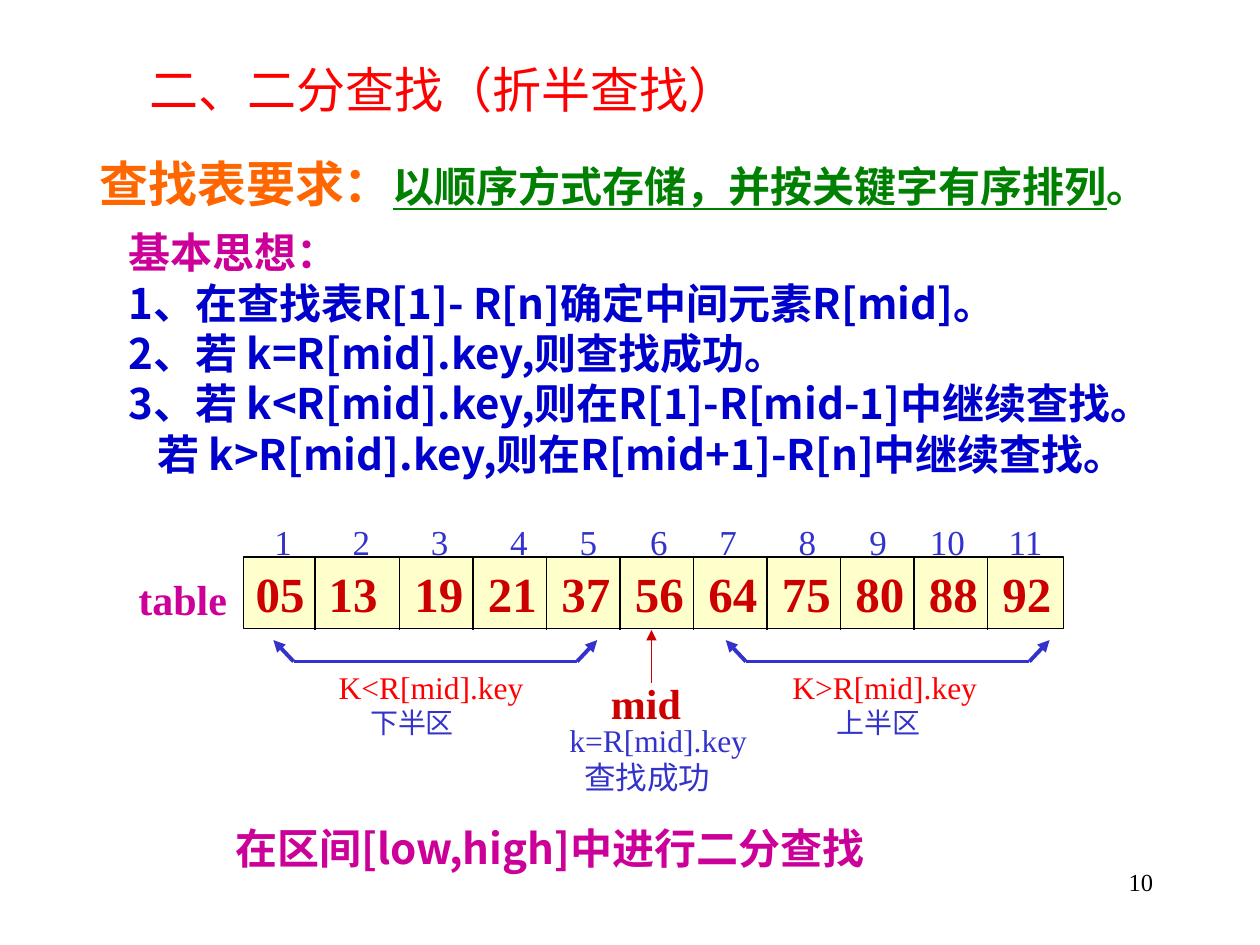
import pptx
import pptx.util
import pptx.dml.color
import pptx.enum.shapes
import pptx.enum.text
import pptx.oxml
import pptx.oxml.ns
from pptx.util import Inches

COLORS = {
    "black": "000000", "red": "FF0000", "orange": "FF6600", "green": "008000",
    "magenta": "CC0099", "navy": "0000CC", "blue": "3333CC",
    "crimson": "CC0000", "cream": "FFFFCC",
}
SERIF = "Times New Roman"
SANS = "Noto Sans CJK SC"
LINE_RATIO = 1.2
ALIGN = pptx.enum.text.PP_ALIGN
ARRAY_TOP, ARRAY_BOTTOM = 4.42, 5
CELL = 0.58333


def color(name):
    return pptx.dml.color.RGBColor.from_string(COLORS[name])


def assign(target, values):
    for name, value in values.items():
        setattr(target, name, value)


def add_element(parent, tag, **attributes):
    element = pptx.oxml.ns.qn(tag)
    child = parent.makeelement(element, {key: str(value) for key, value in attributes.items()})
    parent.append(child)
    return child


def span_of(text, size, shade, font=SERIF, **styles):
    return text, size, shade, font, styles


def add_span(para, text, size, shade, font, styles):
    span = para.add_run()
    span.text = text
    assign(span.font, {"size": pptx.util.Pt(size), "name": font, **styles})
    span.font.color.rgb = color(shade)
    add_element(span._r.get_or_add_rPr(), "a:ea", typeface=SANS)


def fill_text(box, paragraphs, wrap=False, right=0.1, align=ALIGN.LEFT, indents=(), tabs=(), tab_align="l"):
    frame = box.text_frame
    assign(frame, {
        "word_wrap": wrap,
        "auto_size": pptx.enum.text.MSO_AUTO_SIZE.NONE,
        "vertical_anchor": pptx.enum.text.MSO_ANCHOR.TOP,
        "margin_left": Inches(0.1), "margin_right": Inches(right),
        "margin_top": Inches(0.05), "margin_bottom": Inches(0.05),
    })
    for index, spans in enumerate(paragraphs):
        para = frame.add_paragraph() if index else frame.paragraphs[0]
        largest = max(span[1] for span in spans)
        assign(para, {
            "alignment": align,
            "line_spacing": pptx.util.Pt(LINE_RATIO * largest),
            "space_before": pptx.util.Pt(0),
        })
        properties = para._p.get_or_add_pPr()
        if index < len(indents):
            properties.set("marL", "0")
            properties.set("indent", str(Inches(indents[index])))
        if tabs:
            stops = add_element(properties, "a:tabLst")
            for tab in tabs:
                add_element(stops, "a:tab", pos=Inches(tab), algn=tab_align)
        for span in spans:
            add_span(para, *span)


def place(box, left, top, width, height):
    assign(box, {"left": Inches(left), "top": Inches(top), "width": Inches(width), "height": Inches(height)})


def add_text(page, bounds, paragraphs, **options):
    box = page.shapes.add_textbox(*map(Inches, bounds))
    fill_text(box, paragraphs, **options)


def add_line(page, start, end, shade="black", width=0.75, arrow=False):
    line = page.shapes.add_connector(
        pptx.enum.shapes.MSO_CONNECTOR.STRAIGHT, *map(Inches, (*start, *end)))
    line.line.color.rgb = color(shade)
    line.line.width = pptx.util.Pt(width)
    if arrow:
        add_element(line.line._get_or_add_ln(), "a:tailEnd", type="triangle")
    add_element(line._element.spPr, "a:effectLst")


def add_title(page):
    place(page.shapes.title, 1.09, 0.42, 4.86, 0.57)
    fill_text(page.shapes.title, [[span_of("二、二分查找（折半查找）", 28, "red", SANS, bold=False)]], right=0)


def add_explanation(page):
    add_text(page, (0.69, 1.17, 8.53, 0.57), [[
        span_of("查找表要求：", 28, "orange", bold=True),
        span_of("以顺序方式存储，并按关键字有序排列", 24, "green", bold=True, underline=True),
        span_of("。", 24, "green", bold=True),
    ]])
    steps = [
        "1、在查找表R[1]- R[n]确定中间元素R[mid]。",
        "2、若 k=R[mid].key,则查找成功。",
        "3、若 k<R[mid].key,则在R[1]-R[mid-1]中继续查找。",
        "若 k>R[mid].key,则在R[mid+1]-R[n]中继续查找。",
    ]
    paragraphs = [[span_of("基本思想：", 24, "magenta", SANS, bold=True)]]
    paragraphs += [[span_of(step, 24, "navy", SANS, bold=True)] for step in steps]
    add_text(page, (0.92, 1.75, 8.1, 2.9), paragraphs, wrap=True, indents=(0, 0, 0, 0, 0.23))


def add_array(page):
    array = page.shapes.add_shape(
        pptx.enum.shapes.MSO_SHAPE.RECTANGLE, *map(Inches, (1.93, ARRAY_TOP, 6.51, 0.57)))
    array.shadow.inherit = False
    array.fill.solid()
    array.fill.fore_color.rgb = color("cream")
    array.line.color.rgb = color("black")
    array.line.width = pptx.util.Pt(0.75)
    values = ["05", "13", "19", "21", "37", "56", "64", "75", "80", "88", "92"]
    value_tabs = [0.58] + [1.26 + CELL * step for step in range(9)]
    fill_text(array, [[span_of("\t".join(values), 28, "crimson", bold=True)]],
              wrap=True, right=0, tabs=value_tabs)
    for x in [2.5] + [3.17 + CELL * step for step in range(9)]:
        add_line(page, (x, ARRAY_TOP), (x, ARRAY_BOTTOM))
    positions = "\t".join(str(number) for number in range(1, len(values) + 1))
    position_tabs = [0.69, 1.31, 1.94, 2.49, 3.05, 3.6, 4.23, 4.79, 5.34, 5.96]
    add_text(page, (2.08, 4.08, 6.32, 0.44), [[span_of(positions, 20, "blue")]],
             wrap=True, right=0, tabs=position_tabs, tab_align="ctr")
    add_text(page, (1, 4.5, 0.9, 0.5), [[span_of("table", 24, "magenta", bold=True)]])


def add_half(page, left, bounds, condition, name, indent):
    right, base, tip = left + 2.25, 5.25, 5.08
    add_line(page, (left, base), (right, base), "blue", 2.25)
    add_line(page, (left, base), (left - 0.16, tip), "blue", 2.25, True)
    add_line(page, (right, base), (right + 0.16, tip), "blue", 2.25, True)
    add_text(page, bounds, [[span_of(condition, 18, "red")], [span_of(name, 16, "blue")]], indents=(0, indent))


def add_middle(page):
    add_text(page, (4.75, 5.33, 0.75, 0.5), [[span_of("mid", 24, "crimson", bold=True)]])
    add_line(page, (5.17, 5.42), (5.17, ARRAY_BOTTOM), "crimson", 1, True)
    add_text(page, (4.42, 5.67, 1.61, 0.7),
             [[span_of("k=R[mid].key", 18, "blue")], [span_of("查找成功", 18, "blue")]], indents=(0, 0.12))


def main():
    deck = pptx.Presentation()
    assign(deck, {"slide_width": Inches(10), "slide_height": Inches(7.5)})
    page = deck.slides.add_slide(deck.slide_layouts[5])
    add_title(page)
    add_explanation(page)
    add_array(page)
    add_middle(page)
    add_half(page, 2.33, (2.59, 5.25, 1.66, 0.67), "K<R[mid].key", "下半区", 0.25)
    add_half(page, 5.92, (6.19, 5.25, 1.8, 0.67), "K>R[mid].key", "上半区", 0.35)
    add_text(page, (1.77, 6.48, 5.7, 0.5),
             [[span_of("在区间[low,high]中进行二分查找", 24, "magenta", SANS, bold=True)]])
    add_text(page, (7.17, 6.83, 2.08, 0.5), [[span_of("10", 14, "black")]], wrap=True, align=ALIGN.RIGHT)
    deck.save("out.pptx")


if __name__ == "__main__":
    main()
